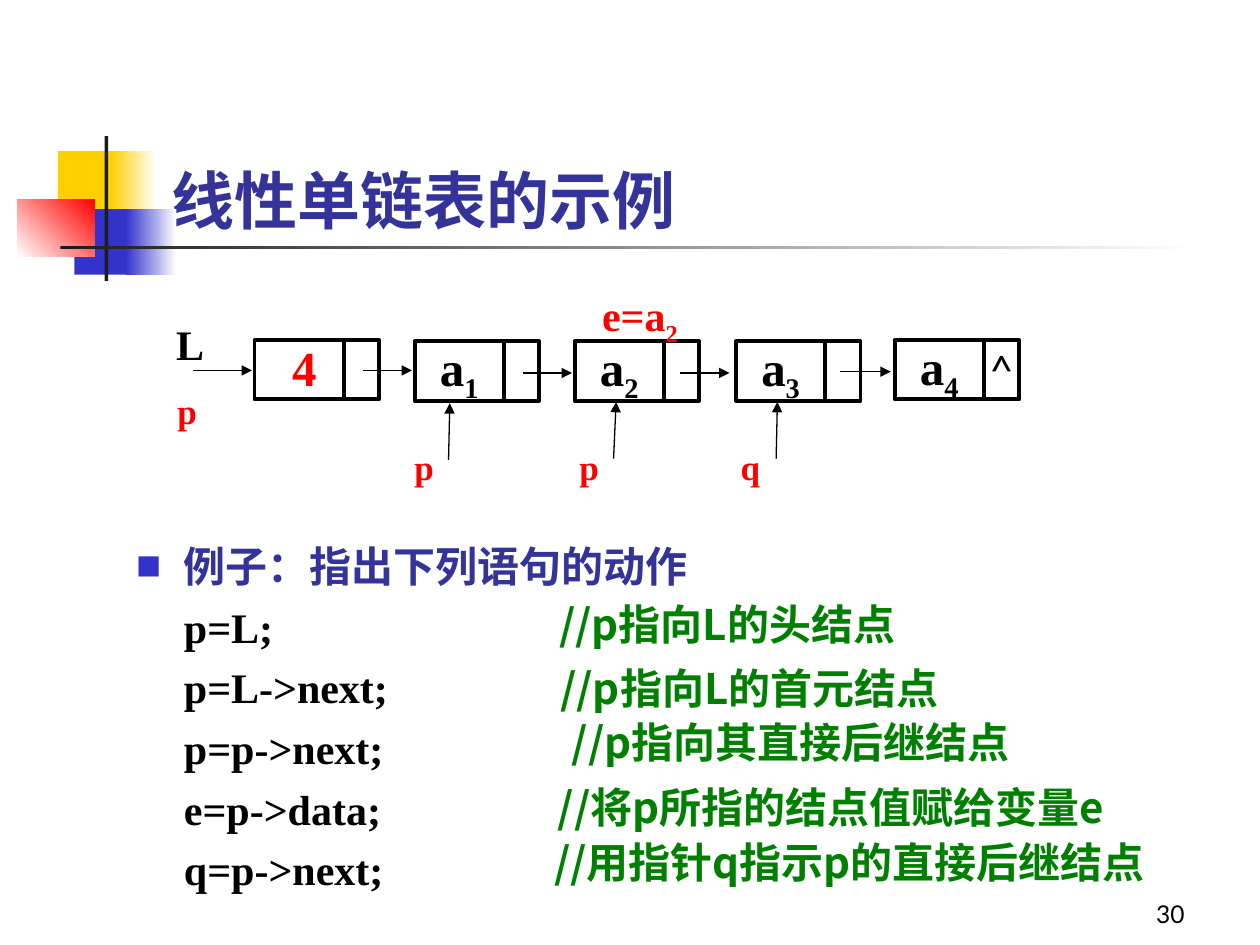
from lxml import etree
from pptx import Presentation, util as u
from pptx.dml.color import RGBColor
from pptx.enum import shapes, text
from pptx.oxml import ns

THEME = {
    "colours": {"ink": "000000", "heading": "333399", "comment": "008000", "mark": "FF0000",
                "gold": "FFCF01", "blue": "3333CC", "rule": "1C1C1C", "white": "FFFFFF"},
    "styles": {
        "title": ("Lato", 36, "heading", True),
        "lead": ("Times New Roman", 24, "heading", True),
        "code": ("Times New Roman", 24, "ink", True),
        "comment": ("Noto Sans CJK SC", 24, "comment", True),
        "node": ("Times New Roman", 28, "ink", True),
        "count": ("Times New Roman", 28, "mark", True),
        "pointer": ("Times New Roman", 20, "mark", True),
        "result": ("Times New Roman", 24, "mark", True),
        "null": ("Lato", 24, "ink", False),
        "number": ("Lato", 14, "ink", False),
    },
    "east_asian": "Noto Sans CJK SC",
}
COLOUR = {name: RGBColor.from_string(value) for name, value in THEME["colours"].items()}
LEFT, CENTER, RIGHT = text.PP_ALIGN.LEFT, text.PP_ALIGN.CENTER, text.PP_ALIGN.RIGHT
TOP, MIDDLE, BOTTOM = text.MSO_ANCHOR.TOP, text.MSO_ANCHOR.MIDDLE, text.MSO_ANCHOR.BOTTOM

presentation = Presentation()
presentation.slide_width, presentation.slide_height = u.Inches(10), u.Inches(7.5)
COLUMN, ROW = presentation.slide_width / 100, presentation.slide_height / 75
slide = presentation.slides.add_slide(presentation.slide_layouts[1])


def place(*cells):
    return [u.Emu(round(cell * (ROW if index % 2 else COLUMN))) for index, cell in enumerate(cells)]


def write(shape, lines, subscript="", align=LEFT, anchor=TOP, wrap=True):
    frame = shape.text_frame
    frame_format = {"auto_size": text.MSO_AUTO_SIZE.NONE, "word_wrap": wrap, "vertical_anchor": anchor,
                    "margin_left": u.Inches(0.1), "margin_right": u.Inches(0.1),
                    "margin_top": u.Inches(0.05), "margin_bottom": u.Inches(0.05)}
    for name, value in frame_format.items():
        setattr(frame, name, value)
    for index, (words, style) in enumerate(lines):
        paragraph = frame.add_paragraph() if index else frame.paragraphs[0]
        paragraph.alignment = align
        font_name, size, colour, bold = THEME["styles"][style]
        for part in filter(None, (words, subscript)):
            run = paragraph.add_run()
            run.text = part
            for name, value in {"name": font_name, "size": u.Pt(size), "bold": bold}.items():
                setattr(run.font, name, value)
            run.font.color.rgb = COLOUR[colour]
            properties = run._r.get_or_add_rPr()
            etree.SubElement(properties, ns.qn("a:ea"), typeface=THEME["east_asian"])
            if part == subscript:
                properties.set("baseline", "-25000")


ornaments = [
    ((4.6, 12, 4.8, 5.2), ["gold"], 0),
    ((8.8, 12, 3.6, 5.2), ["gold", "white"], 0),
    ((5.9, 16.6, 4.6, 5.2), ["blue"], 0),
    ((10, 16.6, 4, 5.2), ["blue", "white"], 0),
    ((1.4, 15.8, 6.1, 4.6), ["white", "mark"], 45),
    ((8.3, 10.8, 0.3, 11.5), ["rule"], 0),
    ((4.8, 19.5, 90, 0.3), ["rule", "white"], 0),
]
for cells, colours, angle in ornaments:
    ornament = slide.shapes.add_shape(shapes.MSO_SHAPE.RECTANGLE, *place(*cells))
    ornament.shadow.inherit = False
    ornament.line.fill.background()
    if len(colours) == 1:
        ornament.fill.solid()
        ornament.fill.fore_color.rgb = COLOUR[colours[0]]
    else:
        ornament.fill.gradient()
        ornament.fill.gradient_angle = angle
        for position, (stop, colour) in enumerate(zip(ornament.fill.gradient_stops, colours)):
            stop.position = position
            stop.color.rgb = COLOUR[colour]

title, body = slide.placeholders
for placeholder, cells in ((title, (12.6, 6.8, 85.2, 12.5)), (body, (9.8, 42.4, 84.2, 30.7))):
    placeholder.left, placeholder.top, placeholder.width, placeholder.height = place(*cells)
write(title, [("线性单链表的示例", "title")], anchor=BOTTOM)

statements = ["p=L;", "p=L->next;", "p=p->next;", "e=p->data;", "q=p->next;"]
write(body, [("例子：指出下列语句的动作", "lead")] + [(line, "code") for line in statements])
for index, paragraph in enumerate(body.text_frame.paragraphs):
    properties = paragraph._p.get_or_add_pPr()
    properties.set("marL", str(u.Inches(0.38)))
    properties.set("indent", str(0 if index else -u.Inches(0.38)))
    if index:
        etree.SubElement(properties, ns.qn("a:buNone"))
    else:
        bullet_colour = etree.SubElement(properties, ns.qn("a:buClr"))
        etree.SubElement(bullet_colour, ns.qn("a:srgbClr"), val=THEME["colours"]["blue"])
        etree.SubElement(properties, ns.qn("a:buSzPct"), val="60000")
        etree.SubElement(properties, ns.qn("a:buFont"), typeface=THEME["east_asian"])
        etree.SubElement(properties, ns.qn("a:buChar"), char="■")
    paragraph.space_before = u.Pt(6 if index else 0)
    paragraph.line_spacing = u.Pt(28.7)

nodes = [(20.2, 27, "", "", ""), (32.9, 27.1, "a", "1", ""), (45.6, 27.1, "a", "2", ""),
         (58.4, 27.1, "a", "3", ""), (71, 27, "a", "4", "^")]
for left, top, value, subscript, link in nodes:
    cells = [(left, 7.1, value, subscript, "node"), (left + 7.1, 2.8, link, "", "null")]
    for cell_left, width, words, index, style in cells:
        cell = slide.shapes.add_shape(shapes.MSO_SHAPE.RECTANGLE, *place(cell_left, top, width, 4.7))
        cell.shadow.inherit = False
        cell.fill.background()
        cell.line.color.rgb = COLOUR["ink"]
        cell.line.width = u.Pt(2.25)
        if words:
            write(cell, [(words, style)], index, CENTER, MIDDLE, False)

arrows = [(15.3, 29.4, 20, 29.4), (28.8, 29.4, 32.7, 29.4), (41.5, 29.6, 45.4, 29.6),
          (54, 29.6, 57.9, 29.6), (66.7, 29.5, 70.7, 29.5),
          (35.6, 36.5, 35.7, 32), (48.7, 36.4, 48.9, 31.9), (61.6, 36.4, 61.7, 31.9)]
for ends in arrows:
    arrow = slide.shapes.add_connector(shapes.MSO_CONNECTOR.STRAIGHT, *place(*ends))
    arrow.line.color.rgb = COLOUR["ink"]
    arrow.line.width = u.Pt(0.75)
    etree.SubElement(arrow.line._get_or_add_ln(), ns.qn("a:tailEnd"), type="triangle")
    etree.SubElement(arrow._element.spPr, ns.qn("a:effectLst"))

labels = [
    ((43.4, 47, 32.4, 5), "//p指向L的头结点", "comment", {"wrap": False}),
    ((43.5, 52.1, 35.7, 5), "//p指向L的首元结点", "comment", {"wrap": False}),
    ((44.4, 56.4, 38.8, 5), "//p指向其直接后继结点", "comment", {"wrap": False}),
    ((43.3, 61.5, 49.9, 5), "//将p所指的结点值赋给变量e", "comment", {"wrap": False}),
    ((43, 65.9, 54, 5), "//用指针q指示p的直接后继结点", "comment", {"wrap": False}),
    ((13, 24.8, 4.2, 5), "L", "code", {"wrap": False}),
    ((22.2, 26.3, 5.5, 5.7), "4", "count", {}),
    ((13.1, 30.4, 4.4, 4.4), "p", "pointer", {}),
    ((31.9, 34.9, 4.4, 4.4), "p", "pointer", {}),
    ((45, 34.9, 4.4, 4.4), "p", "pointer", {}),
    ((57.8, 34.9, 4.4, 4.4), "q", "pointer", {}),
    ((46.8, 22.5, 8.9, 5.6), "e=a", "result", {"subscript": "2"}),
    ((74.2, 69.2, 20.8, 5), "30", "number", {"align": RIGHT, "anchor": BOTTOM}),
]
for cells, words, style, options in labels:
    write(slide.shapes.add_textbox(*place(*cells)), [(words, style)], **options)

presentation.save("out.pptx")
